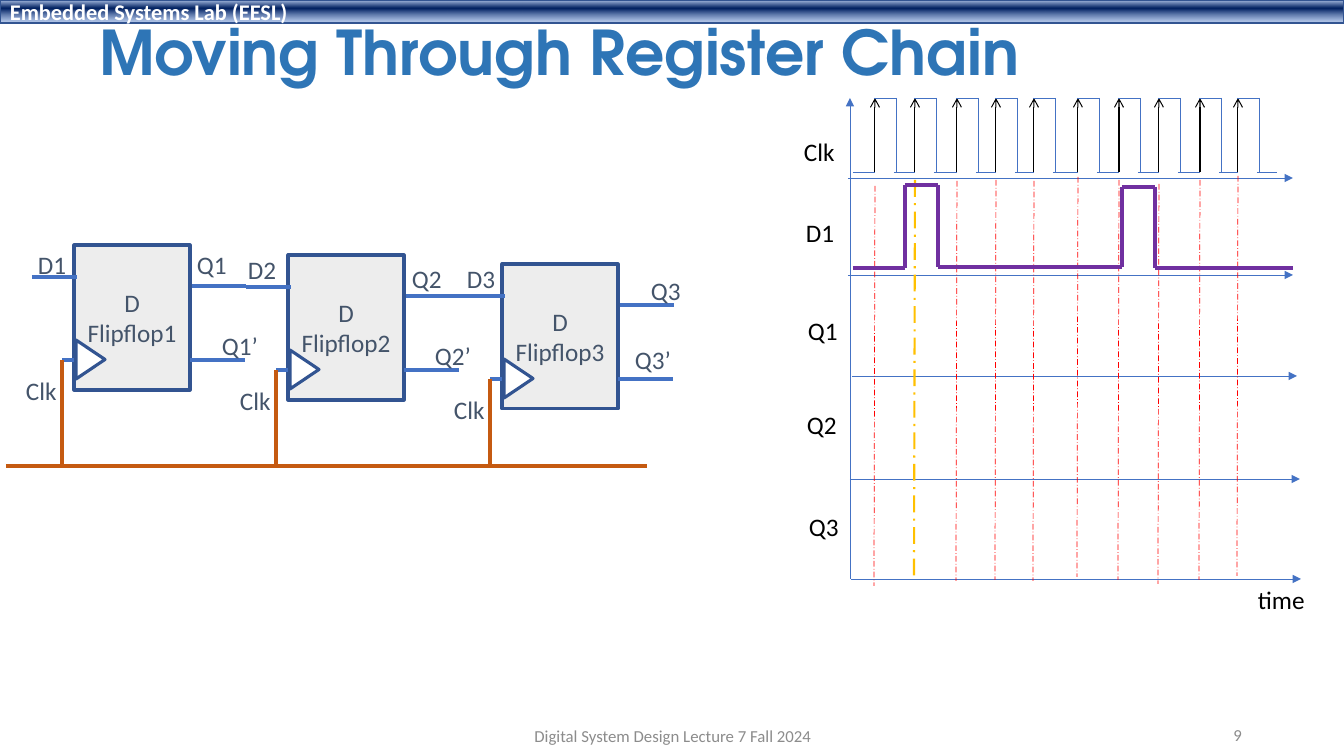
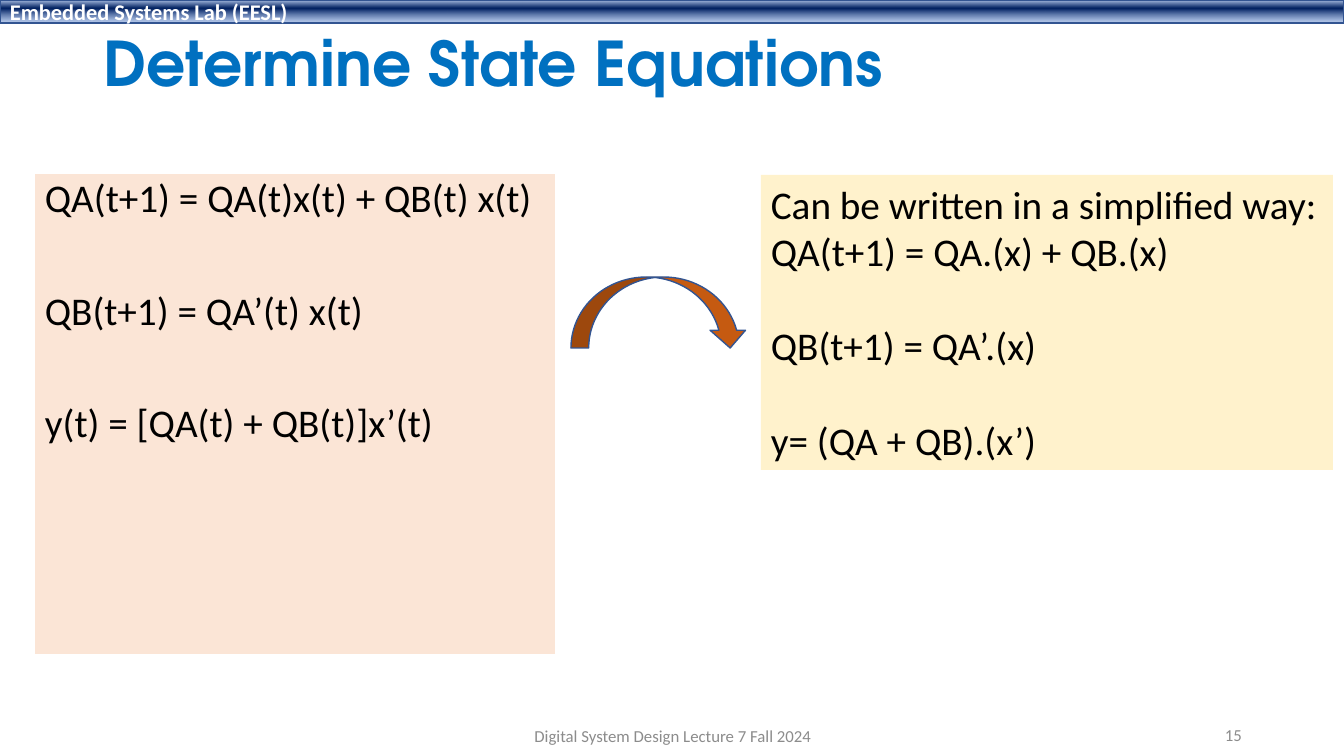
from itertools import pairwise

from lxml import etree
from pptx import Presentation
from pptx import util as u
from pptx.dml.color import RGBColor
from pptx.enum import dml, shapes, text
from pptx.oxml.ns import qn

PX = 914400 / 100.8


class Theme:
    body_font = "Calibri"
    title_font = "TeX Gyre Adventor"
    title, equation, label, band, footer = 44, 28, 18, 16, 12
    white, black = "FFFFFF", "000000"
    outline, wire, bus, wave = "325491", "4472C4", "C55A11", "7030A0"
    edge, marked_edge = "FF0000", "FFC000"
    block, block_text, muted = "EDEDED", "44546A", "8C8C8C"
    peach, cream = "FBE5D6", "FFF2CC"
    band_stops = [(2, "ABC0E4", 100), (38, "002060", 100), (93, "7E9ED6", 64)]


def px(*values):
    return [round(v * PX) for v in values]


def line(s, x1, y1, x2, y2, color, width, head=None, dash=None):
    c = s.shapes.add_connector(shapes.MSO_CONNECTOR.STRAIGHT, *px(x1, y1, x2, y2))
    c.line.color.rgb = RGBColor.from_string(color)
    c.line.width = u.Pt(width)
    if dash:
        c.line.dash_style = dash
    spPr = c._element.spPr
    if head:
        etree.SubElement(spPr.find(qn("a:ln")), qn("a:tailEnd"), type=head)
    etree.SubElement(spPr, qn("a:effectLst"))


def write(sp, lines, size, color, font=Theme.body_font, bold=False, wrap=True,
          align="LEFT", anchor="TOP", spacing=1.0):
    tf = sp.text_frame
    tf.word_wrap = wrap
    tf.auto_size = text.MSO_AUTO_SIZE.NONE
    tf.vertical_anchor = text.MSO_ANCHOR[anchor]
    for i, (words, before) in enumerate(lines):
        p = tf.add_paragraph() if i else tf.paragraphs[0]
        p.alignment = text.PP_ALIGN[align]
        p.line_spacing = spacing
        p.space_before = u.Pt(before)
        r = p.add_run()
        r.text = words
        r.font.name = font
        r.font.size = u.Pt(size)
        r.font.bold = bold
        r.font.color.rgb = RGBColor.from_string(color)


prs = Presentation()
prs.slide_width, prs.slide_height = px(1344, 756)

pages = [
    ("Moving Through Register Chain", "2E75B6", (89, 5, 1046, 102), "9"),
    ("Determine State Equations", "0070C0", (93, 28, 1159, 78), "15"),
]
for title, color, place, number in pages:
    s = prs.slides.add_slide(prs.slide_layouts[5])
    sp = s.shapes.title
    sp.left, sp.top, sp.width, sp.height = px(*place)
    write(sp, [(title, 0)], Theme.title, color, Theme.title_font, True,
          anchor="MIDDLE", spacing=0.9)

    band = s.shapes.add_shape(shapes.MSO_SHAPE.RECTANGLE, *px(0, 0, 1344, 23))
    band.shadow.inherit = False
    band.fill.gradient()
    band.fill.gradient_angle = 270
    stops = band._element.spPr.find(qn("a:gradFill")).find(qn("a:gsLst"))
    stops.clear()
    for position, shade, opacity in Theme.band_stops:
        gs = etree.SubElement(stops, qn("a:gs"), pos=str(position * 1000))
        clr = etree.SubElement(gs, qn("a:srgbClr"), val=shade)
        etree.SubElement(clr, qn("a:alpha"), val=str(opacity * 1000))
    band.line.color.rgb = RGBColor.from_string(Theme.outline)
    band.line.width = u.Pt(1)
    write(band, [("Embedded Systems Lab (EESL)", 0)], Theme.band, Theme.white,
          bold=True, anchor="MIDDLE")

    for words, align, place in [
        ("Digital System Design Lecture 7 Fall 2024", "CENTER", (446, 716, 454, 40)),
        (number, "RIGHT", (950, 715, 302, 40)),
    ]:
        write(s.shapes.add_textbox(*px(*place)), [(words, 0)], Theme.footer,
              Theme.muted, align=align, anchor="MIDDLE")

chain, equations = prs.slides

labels = []
flipflops = [
    (245, (-46, -1), (113, -1), (138, 80)),
    (255, (-50, -6), (114, 3), (137, 80)),
    (264, (-45, -6), (139, 6), (123, 75)),
]
BUS_Y = 466
line(chain, 6, BUS_Y, 647, BUS_Y, Theme.bus, 2.25)
for i, (y, d_at, q_at, inverse_at) in enumerate(flipflops):
    n = i + 1
    x = 74 + 214 * i
    block = chain.shapes.add_shape(shapes.MSO_SHAPE.RECTANGLE, *px(x, y, 116, 145))
    clock = chain.shapes.add_shape(shapes.MSO_SHAPE.ISOSCELES_TRIANGLE,
                                   *px(x - 3, y + 100, 39, 29))
    clock.rotation = 90
    for sp, fill in [(block, Theme.block), (clock, Theme.white)]:
        sp.shadow.inherit = False
        sp.fill.solid()
        sp.fill.fore_color.rgb = RGBColor.from_string(fill)
        sp.line.color.rgb = RGBColor.from_string(Theme.outline)
        sp.line.width = u.Pt(2.25)
    write(block, [(f"D Flipflop{n}", 0)], Theme.label, Theme.block_text,
          align="CENTER", anchor="MIDDLE")
    for start, end, dy in [(0, -12, 115), (-42, 3, 32), (118, 172, 41), (116, 171, 115)]:
        line(chain, x + start, y + dy, x + end, y + dy, Theme.wire, 2.25)
    line(chain, x - 12, y + 115, x - 12, BUS_Y, Theme.bus, 2.25)
    for words, (dx, dy) in [("Clk", (-58, 125)), (f"D{n}", d_at),
                            (f"Q{n}", q_at), (f"Q{n}’", inverse_at)]:
        labels.append((words, x + dx, y + dy, Theme.block_text))

CLK_HIGH, CLK_LOW = 98, 172
edges = [875, 915, 957, 996, 1034, 1078, 1119, 1159, 1200, 1238]
line(chain, 853, CLK_LOW, edges[0], CLK_LOW, Theme.wire, 0.5)
for x, following in pairwise(edges + [1277]):
    line(chain, x, CLK_LOW, x, CLK_HIGH, Theme.black, 0.75, head="arrow")
    line(chain, x - 1, CLK_HIGH, x + 21, CLK_HIGH, Theme.wire, 0.5)
    line(chain, x + 21, CLK_HIGH, x + 21, CLK_LOW, Theme.wire, 0.5)
    line(chain, x + 19, CLK_LOW, following, CLK_LOW, Theme.wire, 0.5)

for x1, y1, x2, y2 in [
    (848, 178, 1293, 178), (848, 275, 1293, 275), (852, 376, 1297, 376),
    (850, 479, 1300, 479), (851, 579, 1301, 579), (850, 579, 850, 98),
]:
    line(chain, x1, y1, x2, y2, Theme.wire, 0.5, head="triangle")

marker_tops = [186, 180, 181, 180, 181, 177, 180, 184, 180, 176]
for i, (x, top) in enumerate(zip(edges, marker_tops)):
    color, width = (Theme.marked_edge, 1.5) if i == 1 else (Theme.edge, 0.5)
    line(chain, x, top, x - 1, top + 400, color, width,
         dash=dml.MSO_LINE.LONG_DASH_DOT)

d1_wave = [(853, 268), (905, 268), (905, 185), (938, 185), (938, 267),
           (1122, 267), (1122, 187), (1155, 187), (1155, 268), (1293, 268)]
for start, end in pairwise(d1_wave):
    line(chain, *start, *end, Theme.wave, 2.25)

for words, x, y in [("Clk", 794, 131), ("D1", 796, 212), ("Q1", 798, 310),
                    ("Q2", 797, 404), ("Q3", 799, 506), ("time", 1248, 579)]:
    labels.append((words, x, y, Theme.black))
for words, x, y, color in labels:
    width = 67 if words == "time" else 51
    write(chain.shapes.add_textbox(*px(x, y, width, 40)), [(words, 0)],
          Theme.label, color, wrap=False)

panels = [
    ((35, 174, 520, 480), Theme.peach, 0.9, True, [
        ("QA(t+1) = QA(t)x(t) + QB(t) x(t)", 0),
        ("QB(t+1) = QA’(t) x(t)", 50),
        ("y(t) = [QA(t) + QB(t)]x’(t)", 50),
    ]),
    ((761, 175, 572, 295), Theme.cream, 1.0, False, [
        ("Can be written in a simplified way:", 0),
        ("QA(t+1) = QA.(x) + QB.(x)", 0),
        ("QB(t+1) = QA’.(x)", 34),
        ("y= (QA + QB).(x’)", 34),
    ]),
]
for place, fill, spacing, wrap, lines in panels:
    sp = equations.shapes.add_textbox(*px(*place))
    sp.fill.solid()
    sp.fill.fore_color.rgb = RGBColor.from_string(fill)
    write(sp, lines, Theme.equation, Theme.black, wrap=wrap, spacing=spacing)

arrow = equations.shapes.add_shape(shapes.MSO_SHAPE.CURVED_DOWN_ARROW,
                                   *px(571, 277, 177, 71))
arrow.shadow.inherit = False
arrow.fill.solid()
arrow.fill.fore_color.rgb = RGBColor.from_string(Theme.bus)
arrow.line.color.rgb = RGBColor.from_string(Theme.outline)
arrow.line.width = u.Pt(1)

prs.save("out.pptx")
